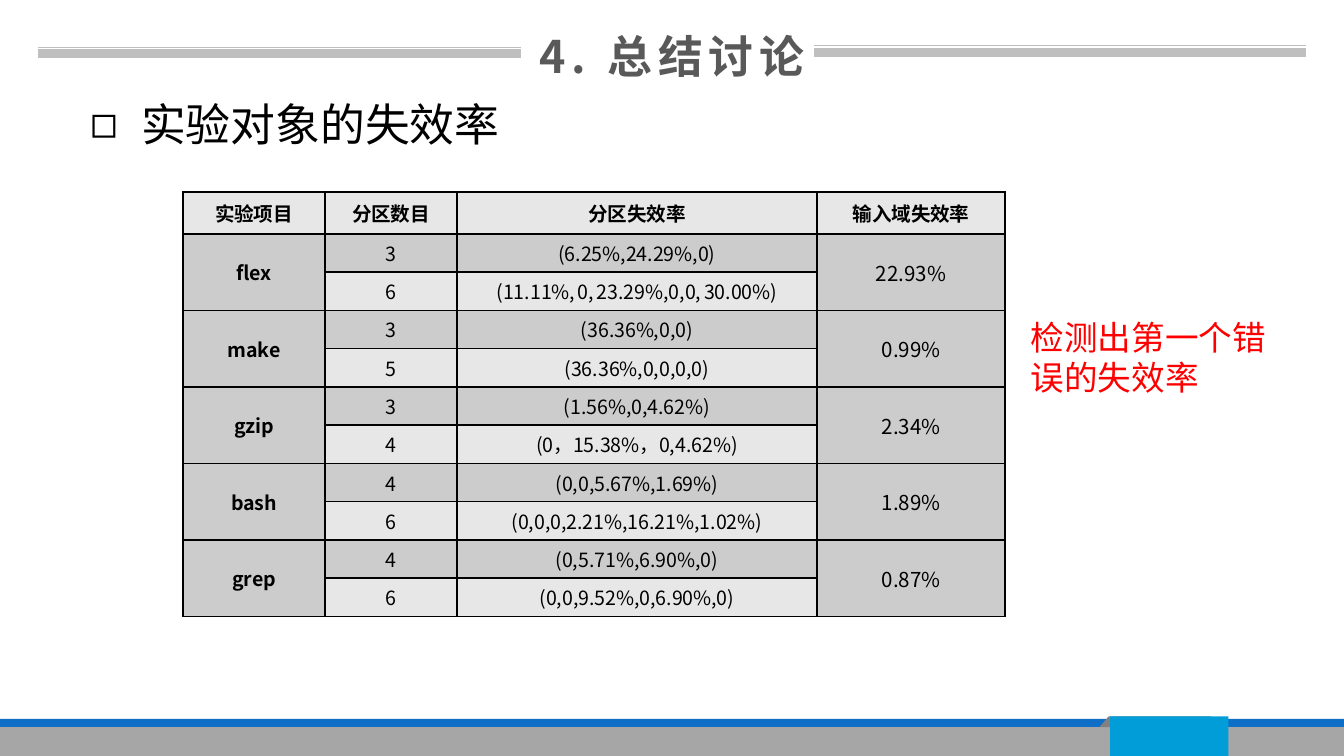
import pptx
import pptx.util
import pptx.dml.color
import pptx.enum.shapes
import pptx.enum.text
import pptx.oxml
import pptx.oxml.ns
from dataclasses import dataclass

Inches = pptx.util.Inches
Pt = pptx.util.Pt
qn = pptx.oxml.ns.qn
ALIGN = pptx.enum.text.PP_ALIGN
ANCHOR = pptx.enum.text.MSO_ANCHOR


@dataclass(frozen=True)
class Theme:
    font: str = "Noto Sans CJK SC"
    body_font: str = "Cambria"
    black: str = "000000"
    title: str = "595959"
    accent: str = "FF0000"
    rule: str = "BFBFBF"
    blue: str = "0F6FC6"
    tab: str = "009DD9"
    gray: str = "A6A6A6"
    fold: str = "808080"
    light: str = "E7E7E7"
    dark: str = "CCCCCC"
    heading_size: float = 24
    note_size: float = 18
    cell_size: float = 10.5
    total_size: float = 11
    gap_size: float = 6.5


THEME = Theme()
HEADERS = ["实验项目", "分区数目", "分区失效率", "输入域失效率"]
# Project, input domain failure rate, (partition count, partition rates) pairs
PROJECTS = [
    ("flex", "22.93%", [("3", "(6.25%,24.29%,0)"),
                        ("6", "(11.11%, 0, 23.29%,0,0, 30.00%)")]),
    ("make", "0.99%", [("3", "(36.36%,0,0)"), ("5", "(36.36%,0,0,0,0)")]),
    ("gzip", "2.34%", [("3", "(1.56%,0,4.62%)"), ("4", "(0，15.38%，0,4.62%)")]),
    ("bash", "1.89%", [("4", "(0,0,5.67%,1.69%)"),
                       ("6", "(0,0,0,2.21%,16.21%,1.02%)")]),
    ("grep", "0.87%", [("4", "(0,5.71%,6.90%,0)"),
                       ("6", "(0,0,9.52%,0,6.90%,0)")]),
]


def rgb(color):
    return pptx.dml.color.RGBColor.from_string(color)


def set_attributes(target, values):
    for name, value in values.items():
        setattr(target, name, value)


def add_run(paragraph, text, size, color=THEME.black, bold=False, font=THEME.font):
    run = paragraph.add_run()
    run.text = text
    set_attributes(run.font, {"name": font, "size": Pt(size), "bold": bold})
    run.font.color.rgb = rgb(color)
    east_asian = pptx.oxml.parse_xml(
        f'<a:ea {pptx.oxml.ns.nsdecls("a")} typeface="{THEME.font}"/>')
    run.font._element.find(qn("a:latin")).addnext(east_asian)
    return run


def place(shape, box):
    left, top, width, height = map(Inches, box)
    set_attributes(shape, {"left": left, "top": top, "width": width, "height": height})


def format_frame(frame, anchor=ANCHOR.TOP, side=0.1):
    set_attributes(frame, {
        "word_wrap": True, "auto_size": pptx.enum.text.MSO_AUTO_SIZE.NONE,
        "vertical_anchor": anchor,
        "margin_left": Inches(side), "margin_right": Inches(side),
        "margin_top": Inches(0.05), "margin_bottom": Inches(0.05)})


def paint(shape, color):
    shape.shadow.inherit = False
    shape.fill.solid()
    shape.fill.fore_color.rgb = rgb(color)
    shape.line.fill.background()


def add_bar(slide, box, color):
    bar = slide.shapes.add_shape(
        pptx.enum.shapes.MSO_SHAPE.RECTANGLE, *map(Inches, box))
    paint(bar, color)


def add_footer(slide, box):
    left, top, width, height = box
    add_bar(slide, (left, top + 0.02, width, height - 0.02), THEME.blue)
    add_bar(slide, (left, top + 0.08, width, height - 0.08), THEME.gray)
    # Folded corner behind the page tab
    corners = [(8.25, 0), (9.01, 0), (9.02, 0.09), (8.18, 0.08)]
    points = [(Inches(left + x), Inches(top + y)) for x, y in corners]
    builder = slide.shapes.build_freeform(*points[0])
    builder.add_line_segments(points[1:], close=True)
    paint(builder.convert_to_shape(), THEME.fold)
    add_bar(slide, (left + 8.26, top, 0.88, height), THEME.tab)


def add_rules(slide, box):
    """Draw a thin rule over a thick one."""
    left, top, width, height = box
    for y, weight in ((top, 0.5), (top + height, 4.5)):
        line = slide.shapes.add_connector(
            pptx.enum.shapes.MSO_CONNECTOR.STRAIGHT,
            Inches(left), Inches(y), Inches(left + width), Inches(y))
        line.line.width = Pt(weight)
        line.line.color.rgb = rgb(THEME.rule)
        line._element.spPr.append(pptx.oxml.parse_xml(
            f'<a:effectLst {pptx.oxml.ns.nsdecls("a")}/>'))


def fill_title(slide, box, text):
    title = slide.shapes.title
    place(title, box)
    format_frame(title.text_frame, ANCHOR.MIDDLE, side=0)
    paragraph = title.text_frame.paragraphs[0]
    paragraph.alignment = ALIGN.CENTER
    run = add_run(paragraph, text, THEME.heading_size, THEME.title, bold=True)
    run.font._element.set("spc", "300")


def fill_body(slide, box, text):
    body = slide.placeholders[1]
    place(body, box)
    format_frame(body.text_frame)
    paragraph = body.text_frame.paragraphs[0]
    set_attributes(paragraph, {"alignment": ALIGN.LEFT, "space_before": Pt(0)})
    properties = paragraph._p.get_or_add_pPr()
    properties.set("marL", str(Inches(0.38)))
    properties.set("indent", str(-Inches(0.38)))
    properties.append(pptx.oxml.parse_xml(
        f'<a:buChar {pptx.oxml.ns.nsdecls("a")} char="◻"/>'))
    add_run(paragraph, text, THEME.heading_size, font=THEME.body_font)


def add_borders(cell):
    properties = cell._tc.get_or_add_tcPr()
    for side in ("lnL", "lnR", "lnT", "lnB"):
        properties.append(pptx.oxml.parse_xml(
            f'<a:{side} {pptx.oxml.ns.nsdecls("a")} w="{Pt(1)}"><a:solidFill>'
            f'<a:srgbClr val="{THEME.black}"/></a:solidFill></a:{side}>'))


def fill_cell(cell, text, color, size=THEME.cell_size, bold=False):
    set_attributes(cell, {
        "vertical_anchor": ANCHOR.MIDDLE, "margin_top": 0, "margin_bottom": 0,
        "margin_left": Inches(0.07), "margin_right": Inches(0.07)})
    cell.fill.solid()
    cell.fill.fore_color.rgb = rgb(color)
    paragraph = cell.text_frame.paragraphs[0]
    paragraph.alignment = ALIGN.CENTER
    # Spaces between values are set narrower than the values
    for index, part in enumerate(text.split(" ")):
        if index:
            add_run(paragraph, " ", THEME.gap_size)
        add_run(paragraph, part, size, bold=bold)


def add_rate_table(slide, box):
    row_count = 1 + sum(len(partitions) for _, _, partitions in PROJECTS)
    table = slide.shapes.add_table(
        row_count, len(HEADERS), *map(Inches, box)).table
    set_attributes(table, {"first_row": False, "horz_banding": False})
    for column, width in zip(table.columns, (1.06, 0.98, 2.68, 1.4)):
        column.width = Inches(width)
    header_height = 0.31
    row_height = (box[3] - header_height) / (row_count - 1)
    for index, row in enumerate(table.rows):
        row.height = Inches(row_height if index else header_height)
    for cell in table.iter_cells():
        add_borders(cell)
    for column, header in enumerate(HEADERS):
        fill_cell(table.cell(0, column), header, THEME.light, bold=True)
    row = 1
    for project, total, partitions in PROJECTS:
        last = row + len(partitions) - 1
        for column in (0, 3):
            table.cell(row, column).merge(table.cell(last, column))
        fill_cell(table.cell(row, 0), project, THEME.dark, bold=True)
        fill_cell(table.cell(row, 3), total, THEME.dark, THEME.total_size)
        for index, values in enumerate(partitions):
            color = THEME.light if index % 2 else THEME.dark
            for column, value in enumerate(values, start=1):
                fill_cell(table.cell(row + index, column), value, color)
        row = last + 1


def add_note(slide, box, text):
    note = slide.shapes.add_textbox(*map(Inches, box))
    format_frame(note.text_frame)
    add_run(note.text_frame.paragraphs[0], text, THEME.note_size, THEME.accent)


def main():
    presentation = pptx.Presentation()
    presentation.slide_width = Inches(10)
    presentation.slide_height = presentation.slide_width * 9 // 16
    slide = presentation.slides.add_slide(presentation.slide_layouts[1])
    add_footer(slide, (0, 5.33, 10, 0.32))
    add_rules(slide, (0.28, 0.35, 3.6, 0.05))
    add_rules(slide, (6.06, 0.34, 3.66, 0.05))
    fill_title(slide, (3.85, 0.16, 2.3, 0.5), "4. 总结讨论")
    fill_body(slide, (0.57, 0.67, 5.72, 0.5), "实验对象的失效率")
    add_rate_table(slide, (1.36, 1.43, 6.12, 3.16))
    add_note(slide, (7.57, 2.31, 1.95, 0.71), "检测出第一个错误的失效率")
    presentation.save("out.pptx")


if __name__ == "__main__":
    main()
